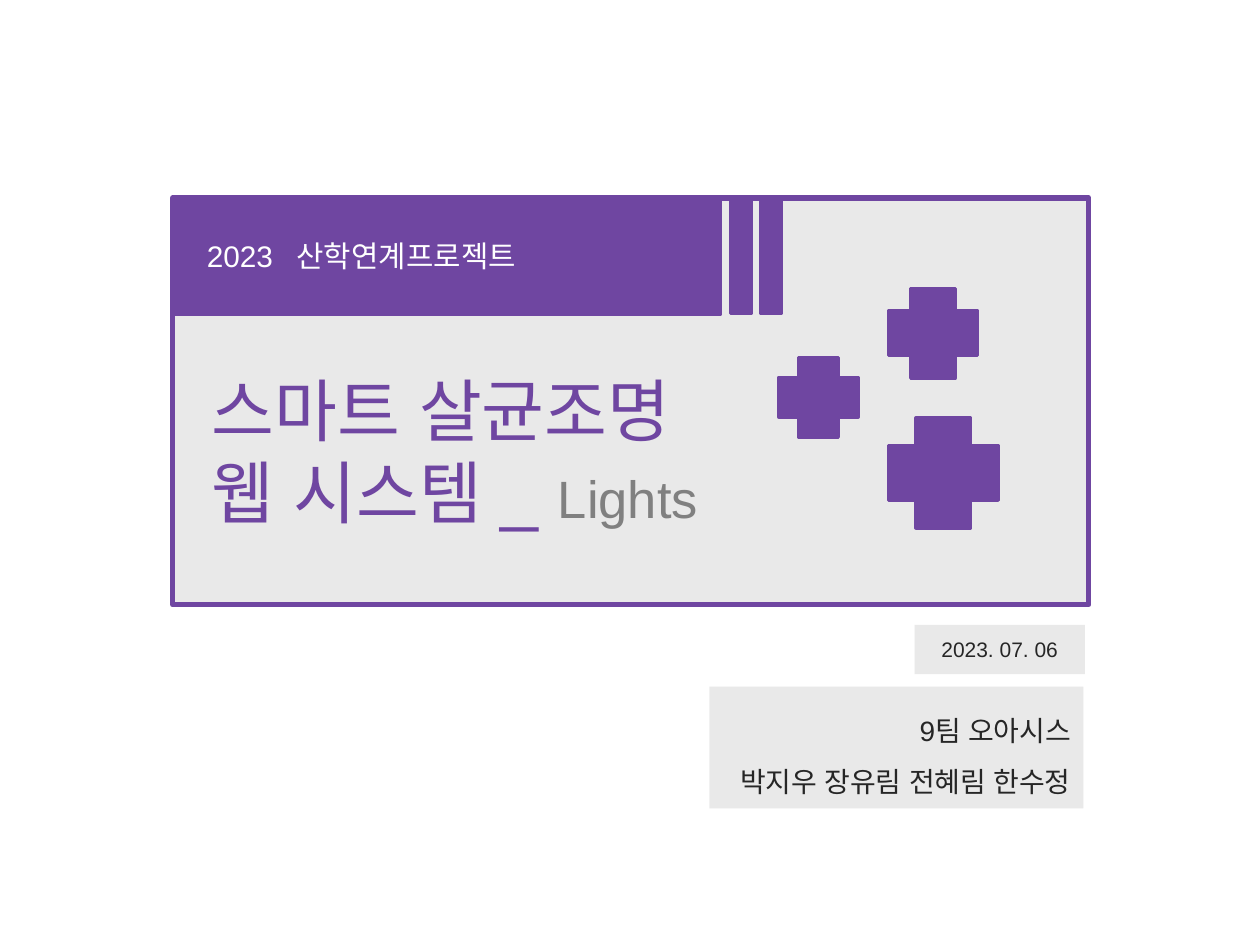
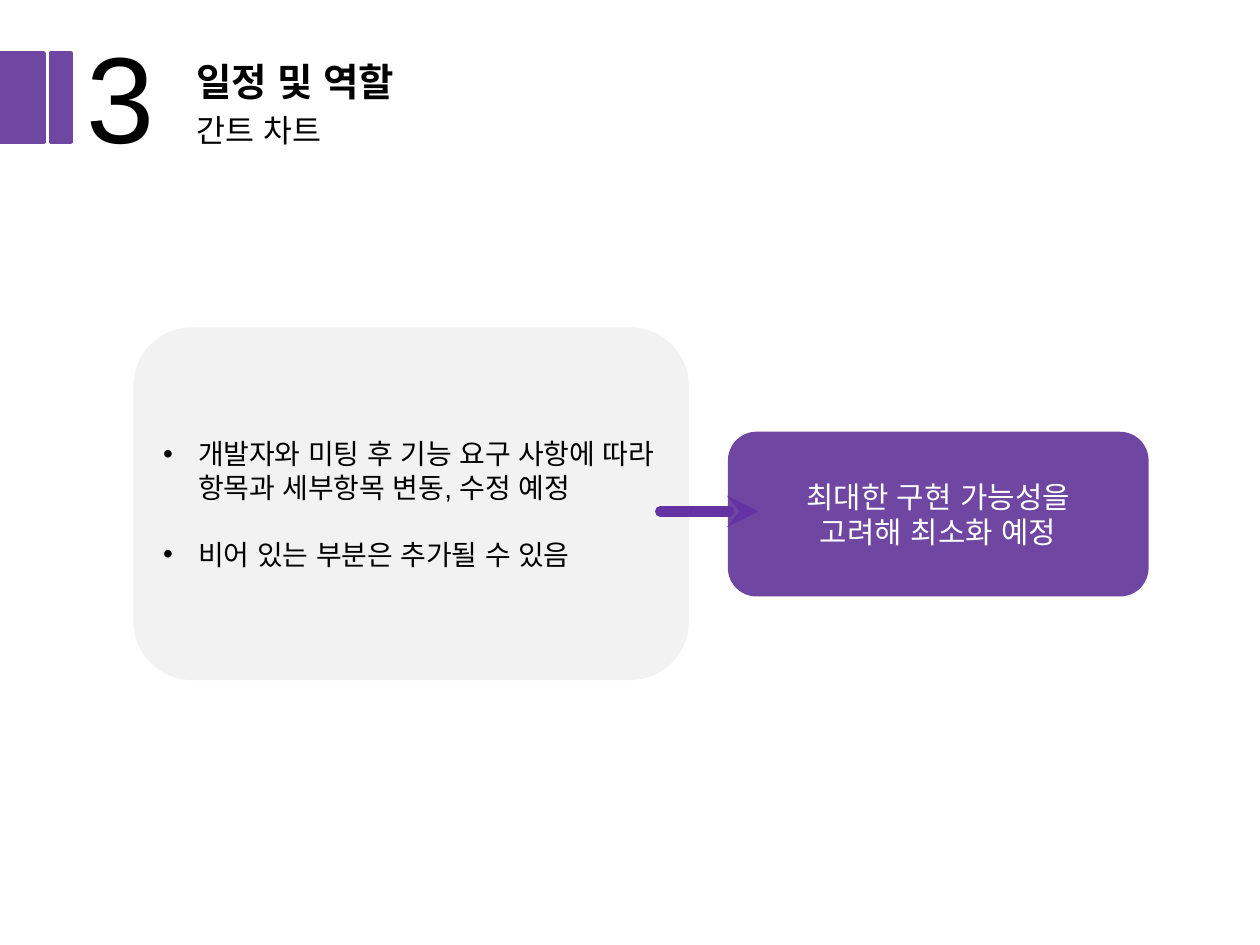
from dataclasses import dataclass
from typing import Optional

from lxml import etree
from pptx import Presentation
from pptx.dml.color import RGBColor
from pptx.enum import shapes, text
from pptx.oxml import ns
from pptx.util import Cm, Pt

PURPLE = RGBColor(0x6F, 0x46, 0xA1)
VIOLET = RGBColor(0x65, 0x32, 0xA3)
SILVER = RGBColor(0xE2, 0xE2, 0xE2)
PALE = RGBColor(0xF2, 0xF2, 0xF2)
GRAY = RGBColor(0x80, 0x80, 0x80)
DARK = RGBColor(0x26, 0x26, 0x26)
BLACK = RGBColor(0, 0, 0)
WHITE = RGBColor(255, 255, 255)
FONT = "Arial"

RECT = shapes.MSO_SHAPE.RECTANGLE
ROUND = shapes.MSO_SHAPE.ROUNDED_RECTANGLE
CROSS = shapes.MSO_SHAPE.CROSS
LEFT = text.PP_ALIGN.LEFT
MID = text.PP_ALIGN.CENTER
RIGHT = text.PP_ALIGN.RIGHT


@dataclass
class Block:
    left: float
    top: float
    width: float
    height: float
    kind: shapes.MSO_SHAPE = RECT
    fill: RGBColor = PURPLE
    edge: Optional[RGBColor] = PURPLE
    alpha: int = 100


@dataclass
class Words:
    body: str
    size: float
    tint: RGBColor
    align: text.PP_ALIGN = LEFT


def child(node, tag: str, **attrs: str):
    return etree.SubElement(node, ns.qn(tag), attrs)


def place(shape, left: float, top: float, width: float, height: float) -> None:
    shape.left, shape.top = Cm(left), Cm(top)
    shape.width, shape.height = Cm(width), Cm(height)


def tint(run, size: float, color: RGBColor, bold: bool = False) -> None:
    font = run.font
    font.size, font.bold, font.name = Pt(size), bold, FONT
    font.color.rgb = color
    child(run._r.get_or_add_rPr(), "a:ea", typeface=FONT)


def paint(shape, fill: RGBColor, edge: Optional[RGBColor],
          alpha: int = 100, weight: float = 2) -> None:
    shape.fill.solid()
    shape.fill.fore_color.rgb = fill
    if alpha < 100:
        color = shape._element.spPr.find(".//" + ns.qn("a:srgbClr"))
        child(color, "a:alpha", val=str(alpha * 1000))
    if edge is None:
        shape.line.fill.background()
    else:
        shape.line.color.rgb = edge
        shape.line.width = Pt(weight)


def draw(slide, block: Block):
    shape = slide.shapes.add_shape(
        block.kind, Cm(block.left), Cm(block.top), Cm(block.width), Cm(block.height))
    shape.shadow.inherit = False
    paint(shape, block.fill, block.edge, block.alpha)
    return shape


def write(shape, words: Words, anchor=text.MSO_ANCHOR.MIDDLE):
    frame = shape.text_frame
    frame.text = words.body
    frame.word_wrap = True
    frame.auto_size = text.MSO_AUTO_SIZE.NONE
    frame.vertical_anchor = anchor
    for par in frame.paragraphs:
        par.alignment = words.align
        for run in par.runs:
            tint(run, words.size, words.tint)
    return frame


def cover(deck) -> None:
    slide = deck.slides.add_slide(deck.slide_layouts[5])
    panel = slide.shapes.title
    place(panel, 3.48, 3.99, 18.47, 8.2)
    paint(panel, SILVER, PURPLE, 74, 3)
    frame = write(panel, Words("스마트 살균조명\n웹 시스템 _ ", 39, PURPLE))
    frame.margin_left, frame.margin_top = Cm(0.79), Cm(2.1)
    name = frame.paragraphs[1].add_run()
    name.text = "Lights"
    tint(name, 30, GRAY)

    date = draw(slide, Block(18.44, 12.6, 3.43, 0.99, fill=SILVER, edge=None, alpha=74))
    write(date, Words("2023. 07. 06", 12, DARK, MID))

    band = draw(slide, Block(3.48, 3.99, 11.05, 2.34))
    frame = write(band, Words("2023\t산학연계프로젝트", 17, WHITE))
    frame.margin_left = Cm(0.69)
    tabs = child(frame.paragraphs[0]._p.get_or_add_pPr(), "a:tabLst")
    child(tabs, "a:tab", pos=str(Cm(1.8)), algn="l")

    for step in range(2):
        draw(slide, Block(14.73 + 0.61 * step, 3.96, 0.41, 2.36))
    for left, top, side in ((15.7, 7.21, 1.6), (17.91, 8.43, 2.21), (17.91, 5.82, 1.8)):
        draw(slide, Block(left, top, side, side, CROSS))

    team = draw(slide, Block(14.3, 13.84, 7.54, 2.46, fill=SILVER, edge=None, alpha=74))
    frame = write(team, Words("9팀 오아시스\n박지우 장유림 전혜림 한수정", 16, DARK, RIGHT))
    for par in frame.paragraphs:
        par.line_spacing = 1.5


def header(slide, digit: str, title: str, topic: str) -> None:
    head = slide.shapes.title
    place(head, 3.71, 1.04, 21.21, 2.08)
    frame = write(head, Words(f"{title}\n{topic}", 18, BLACK), text.MSO_ANCHOR.TOP)
    first, second = frame.paragraphs
    first.runs[0].font.size = Pt(22)
    first.runs[0].font.bold = True
    second.space_before = Pt(4)
    box = slide.shapes.add_textbox(Cm(1.5), Cm(0.3), Cm(2.95), Cm(3.23))
    write(box, Words(digit, 70, BLACK), text.MSO_ANCHOR.TOP)
    for left, width in ((0, 0.89), (1.02, 0.41)):
        draw(slide, Block(left, 1.07, width, 1.8))


def arrow(slide, start: float, end: float, level: float) -> None:
    line = slide.shapes.add_connector(
        shapes.MSO_CONNECTOR.STRAIGHT, Cm(start), Cm(level), Cm(end), Cm(level))
    line.line.color.rgb = VIOLET
    line.line.width = Pt(6)
    stroke = line.line._get_or_add_ln()
    stroke.set("cap", "rnd")
    child(stroke, "a:round")
    child(stroke, "a:tailEnd", type="stealth")
    child(line._element.spPr, "a:effectLst")


def plan(deck) -> None:
    slide = deck.slides.add_slide(deck.slide_layouts[5])
    header(slide, "3", "일정 및 역할", "간트 차트")

    note = draw(slide, Block(2.69, 6.6, 11.2, 7.11, ROUND, PALE, None))
    frame = write(note, Words(
        "개발자와 미팅 후 기능 요구 사항에 따라 항목과 세부항목 변동, 수정 예정\n"
        "비어 있는 부분은 추가될 수 있음", 16, BLACK))
    frame.paragraphs[1].space_before = Pt(19)
    for par in frame.paragraphs:
        props = par._p.get_or_add_pPr()
        props.set("marL", str(Cm(0.71)))
        props.set("indent", str(-Cm(0.71)))
        child(child(props, "a:buClr"), "a:srgbClr", val=str(BLACK))
        child(props, "a:buFont", typeface=FONT)
        child(props, "a:buChar", char="•")

    goal = draw(slide, Block(14.71, 8.74, 8.41, 3.25, ROUND))
    write(goal, Words("최대한 구현 가능성을\n고려해 최소화 예정", 17, WHITE, MID))
    arrow(slide, 13.31, 15.29, 10.31)


def main() -> None:
    deck = Presentation()
    deck.slide_width, deck.slide_height = Cm(25.4), Cm(19.05)
    cover(deck)
    plan(deck)
    deck.save("out.pptx")


if __name__ == "__main__":
    main()
